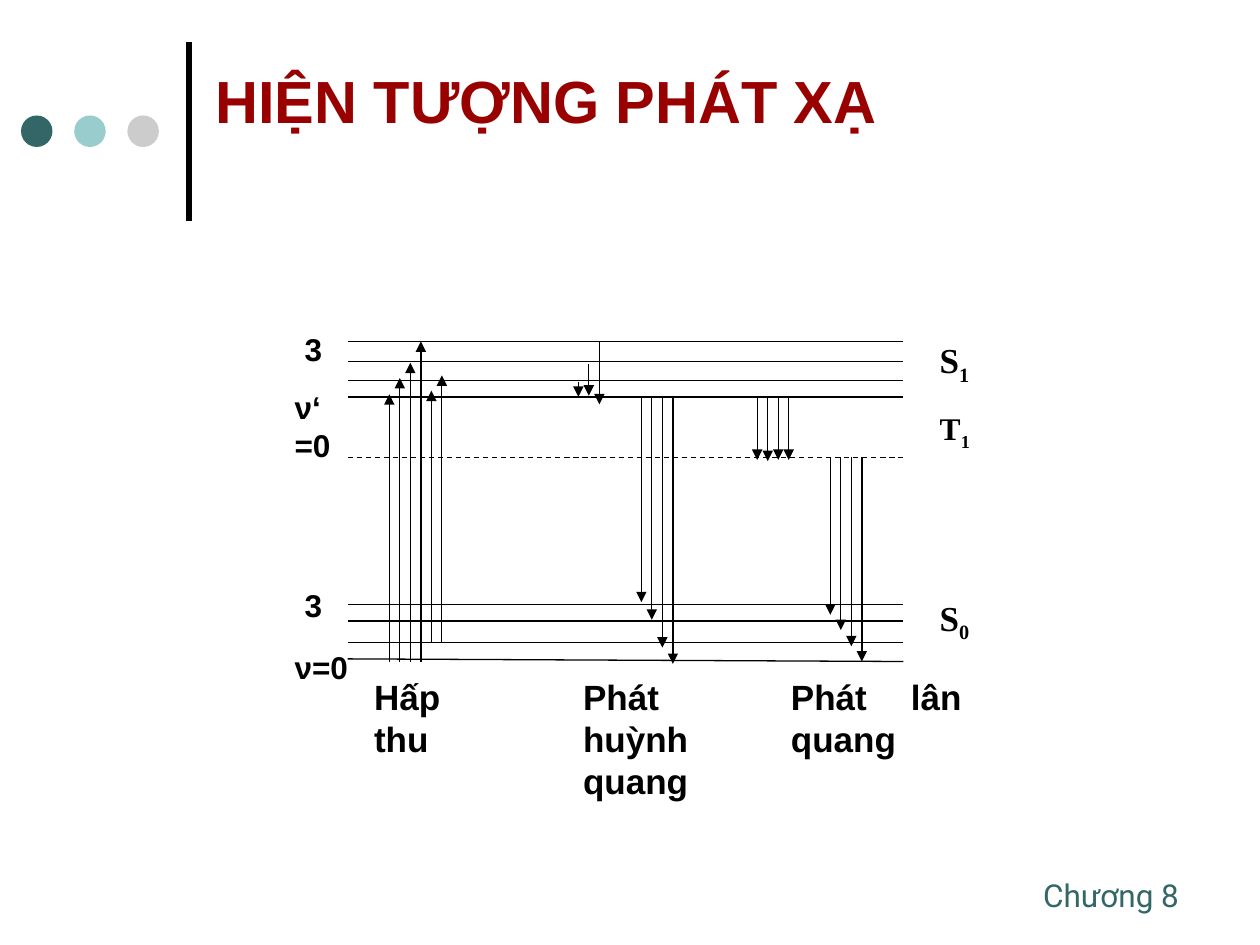
import pptx
import pptx.dml.color
import pptx.enum.dml
import pptx.enum.shapes
import pptx.enum.text
import pptx.oxml.ns
import pptx.util
from lxml import etree

Pt = pptx.util.Pt
RGBColor = pptx.dml.color.RGBColor
ALIGN = pptx.enum.text.PP_ALIGN
qn = pptx.oxml.ns.qn

BLACK = RGBColor(0x00, 0x00, 0x00)
DARK_RED = RGBColor(0x99, 0x00, 0x00)
TEAL = RGBColor(0x33, 0x66, 0x66)
AQUA = RGBColor(0x99, 0xCC, 0xCC)
GREY = RGBColor(0xCC, 0xCC, 0xCC)

LABEL = {"name": "Arial", "size": Pt(18), "bold": True}
CAPTION = {"name": "Arial", "size": Pt(20), "bold": True}
STATE = {"name": "Times New Roman", "size": Pt(20), "bold": True}
TRIPLET = {"name": "Times New Roman", "size": Pt(18), "bold": True}
TITLE = {"name": "Arial", "size": Pt(34), "bold": True}
FOOTER = {"name": "Roboto", "size": Pt(18), "bold": False}

# Heights are measured down from the top level of the diagram
SINGLET_1 = [0, 11.5, 22.3, 31.7]
TRIPLET_1 = 66.2
SINGLET_0 = [150.5, 159.8, 172.1]
GROUND = (181.4, 182.9)
ARROW_STEP = 6

# First arrow's offset from the left, then (start, end) of each arrow
TRANSITIONS = {
    "absorption": (23.8, [(182.9, 30.2), (182.9, 20.9), (182.9, 12.2),
                          (182.9, 0), (172.1, 28.1), (172.1, 19.4)]),
    "relaxation": (131.8, [(23, 31.7), (13, 31), (0, 36)]),
    "fluorescence": (167.8, [(31.7, 149), (32.4, 159.1),
                             (31, 175), (31, 184.3)]),
    "crossing": (234, [(31.7, 67.7), (32.4, 68.4),
                       (31.7, 67.7), (31.7, 67.7)]),
    "phosphorescence": (275.8, [(66.2, 156.2), (66.2, 164.9),
                                (66.2, 174.2), (66.2, 182.9)]),
}

# Text, subscript, offset left, offset top, width, height, format
LABELS = [
    ("3", "", -31.7, -10, 34, 29, LABEL),
    ("ν‘ =0", "", -37.4, 23, 45.4, 50, LABEL),
    ("3", "", -31.7, 136, 34, 29, LABEL),
    ("ν=0", "", -37.4, 171.4, 45.4, 29, LABEL),
    ("S", "1", 331.2, -5, 34, 35, STATE),
    ("T", "1", 331.2, 35.3, 34, 32, TRIPLET),
    ("S", "0", 331.2, 142, 34, 35, STATE),
    ("Hấp thu", "", 8, 187.2, 62.6, 55, CAPTION),
    ("Phát huỳnh quang", "", 127.4, 187.2, 113, 79, CAPTION),
]


def format_run(run, values, color):
    for attribute, value in values.items():
        setattr(run.font, attribute, value)
    run.font.color.rgb = color


def add_line(shapes, start, end, width=0.75, dashed=False, arrow=False):
    line = shapes.add_connector(
        pptx.enum.shapes.MSO_CONNECTOR.STRAIGHT,
        *(Pt(value) for value in (*start, *end)))
    line.line.color.rgb = BLACK
    line.line.width = Pt(width)
    if dashed:
        line.line.dash_style = pptx.enum.dml.MSO_LINE.DASH
    properties = line._element.spPr
    if arrow:
        etree.SubElement(properties.find(qn("a:ln")), qn("a:tailEnd"),
                         type="triangle")
    etree.SubElement(properties, qn("a:effectLst"))


def add_label(shapes, box, text, values, color=BLACK, subscript="",
              align=ALIGN.LEFT, wrap=True):
    frame = shapes.add_textbox(*(Pt(value) for value in box)).text_frame
    frame.word_wrap = wrap
    paragraph = frame.paragraphs[0]
    paragraph.alignment = align
    for part in filter(None, (text, subscript)):
        run = paragraph.add_run()
        run.text = part
        format_run(run, values, color)
    if subscript:
        run._r.get_or_add_rPr().set("baseline", "-25000")


def add_header(slide, box):
    left, top, width, height = box
    # Vertical rule and three dots
    add_line(slide.shapes, (left + 108, top + 126), (left + 108, top + 24), 3)
    for index, color in enumerate((TEAL, AQUA, GREY)):
        dot = slide.shapes.add_shape(
            pptx.enum.shapes.MSO_SHAPE.OVAL,
            Pt(left + 12 + 30.4 * index), Pt(top + 66), Pt(18), Pt(18))
        dot.shadow.inherit = False
        dot.fill.solid()
        dot.fill.fore_color.rgb = color
        dot.line.fill.background()

    # Title
    title = slide.shapes.title
    place = {"left": left + 116, "top": top + 20,
             "width": width - 116, "height": 73.4}
    for attribute, value in place.items():
        setattr(title, attribute, Pt(value))
    frame = title.text_frame
    frame.auto_size = pptx.enum.text.MSO_AUTO_SIZE.NONE
    frame.vertical_anchor = pptx.enum.text.MSO_ANCHOR.MIDDLE
    frame.text = "HIỆN TƯỢNG PHÁT XẠ"
    frame.paragraphs[0].alignment = ALIGN.LEFT
    format_run(frame.paragraphs[0].runs[0], TITLE, DARK_RED)


def add_energy_diagram(slide, box):
    left, top, width, height = box
    shapes = slide.shapes.add_group_shape().shapes

    # Energy levels
    levels = [(y, y) for y in SINGLET_1 + [TRIPLET_1] + SINGLET_0] + [GROUND]
    for start, end in levels:
        add_line(shapes, (left, top + start), (left + width, top + end),
                 dashed=start == TRIPLET_1)

    # Transitions between levels
    for offset, arrows in TRANSITIONS.values():
        for index, (start, end) in enumerate(arrows):
            x = left + offset + index * ARROW_STEP
            add_line(shapes, (x, top + start), (x, top + end), arrow=True)

    # Level names and captions
    for text, subscript, dx, dy, w, h, values in LABELS:
        add_label(shapes, (left + dx, top + dy, w, h), text, values,
                  subscript=subscript)
    add_label(shapes, (left + 246.2, top + 187.2, 111.6, 55),
              "Phát lân quang", CAPTION, align=ALIGN.JUSTIFY)


def add_footer(slide, box):
    add_label(slide.shapes, box, "Chương 8", FOOTER, TEAL, wrap=False)


def main():
    deck = pptx.Presentation()
    deck.slide_width, deck.slide_height = Pt(720), Pt(540)
    slide = deck.slides.add_slide(deck.slide_layouts[5])
    add_header(slide, (0, 0, 720, 126))
    add_footer(slide, (589, 496.8, 97.2, 28.8))
    add_energy_diagram(slide, (198.7, 195.1, 317.5, 184.3))
    deck.save("out.pptx")


if __name__ == "__main__":
    main()
